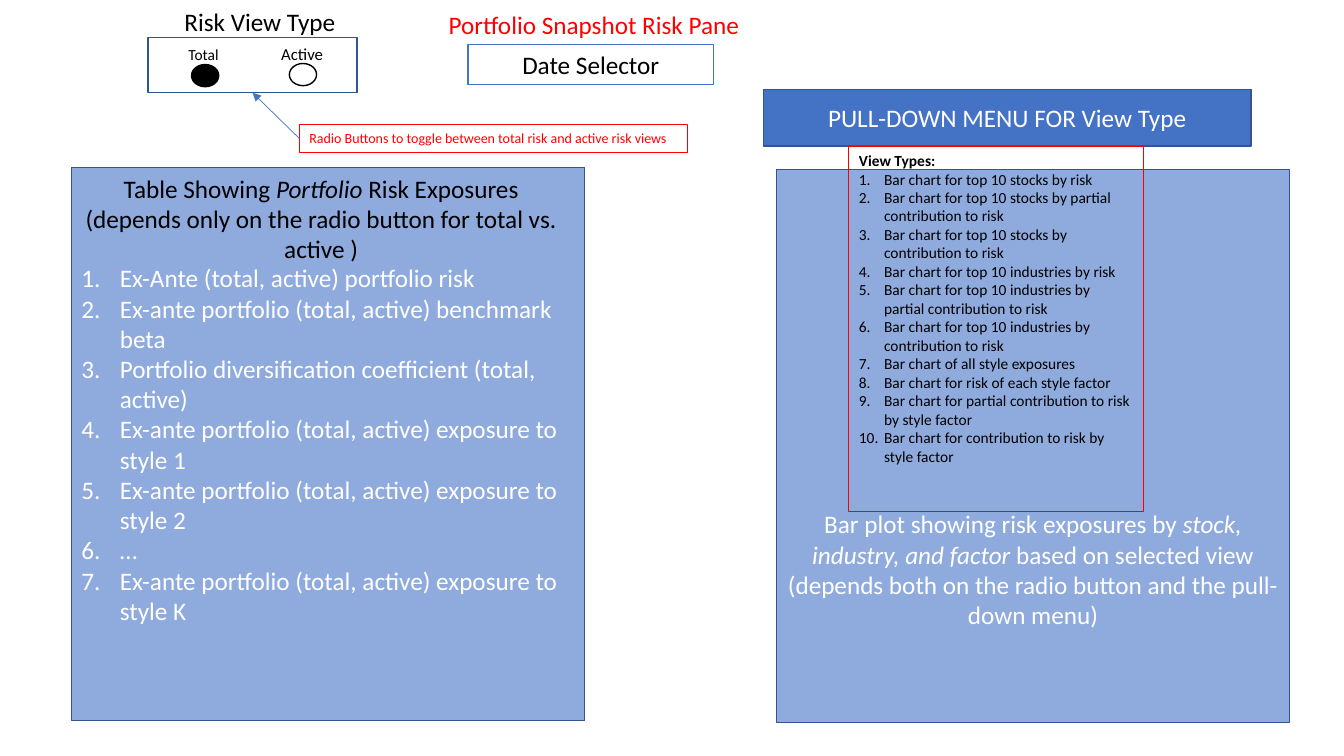
from dataclasses import dataclass

from lxml import etree
from pptx import Presentation
from pptx.dml.color import RGBColor
from pptx.enum.shapes import MSO_CONNECTOR, MSO_SHAPE
from pptx.enum.text import MSO_ANCHOR, MSO_AUTO_SIZE, PP_ALIGN
from pptx.oxml.ns import qn
from pptx.util import Emu, Pt

PX = 9144
RECT, OVAL = MSO_SHAPE.RECTANGLE, MSO_SHAPE.OVAL
STRAIGHT = MSO_CONNECTOR.STRAIGHT
LEFT, CENTER = PP_ALIGN.LEFT, PP_ALIGN.CENTER
TOP, MIDDLE = MSO_ANCHOR.TOP, MSO_ANCHOR.MIDDLE
FIT_SHAPE = MSO_AUTO_SIZE.SHAPE_TO_FIT_TEXT
LEFT_SIDE, BOTTOM_SIDE = 1, 2


@dataclass(frozen=True)
class Theme:
    """Colours, type sizes and font of the slide."""
    font: str = "Calibri"
    black: str = "000000"
    white: str = "FFFFFF"
    red: str = "FF0000"
    blue: str = "4472C4"
    panel: str = "8FAADC"
    edge: str = "325491"
    body: int = 18
    label: int = 12
    small: int = 11
    note: int = 10


THEME = Theme()

EXPOSURES = [
    "Ex-Ante (total, active) portfolio risk",
    "Ex-ante portfolio (total, active) benchmark beta",
    "Portfolio diversification coefficient (total, active)",
    "Ex-ante portfolio (total, active) exposure to style 1",
    "Ex-ante portfolio (total, active) exposure to style 2",
    "…",
    "Ex-ante portfolio (total, active) exposure to style K",
]
VIEW_TYPES = [
    "Bar chart for top 10 stocks by risk",
    "Bar chart for top 10 stocks by partial contribution to risk",
    "Bar chart for top 10 stocks by contribution to risk",
    "Bar chart for top 10 industries by risk",
    "Bar chart for top 10 industries by partial contribution to risk",
    "Bar chart for top 10 industries by contribution to risk",
    "Bar chart of all style exposures",
    "Bar chart for risk of each style factor",
    "Bar chart for partial contribution to risk by style factor",
    "Bar chart for contribution to risk by style factor",
]


def px(*lengths):
    """Turn px lengths into EMU."""
    return [Emu(length * PX) for length in lengths]


def add_box(shapes, at, fill, line, weight=1, kind=RECT):
    """Add a preset shape; a fill of None leaves it see-through."""
    box = shapes.add_shape(kind, *px(*at))
    box.shadow.inherit = False
    if fill:
        box.fill.solid()
        box.fill.fore_color.rgb = RGBColor.from_string(fill)
    else:
        box.fill.background()
    box.line.color.rgb = RGBColor.from_string(line)
    box.line.width = Pt(weight)
    return box


def style(paragraph, size, color, align=LEFT, bold=False):
    """Set alignment and font of a paragraph."""
    paragraph.alignment = align
    font = paragraph.font
    font.name, font.size, font.bold = THEME.font, Pt(size), bold
    font.color.rgb = RGBColor.from_string(color)


def number(paragraph, indent):
    """Number a paragraph with a hanging indent in px."""
    properties = paragraph._p.get_or_add_pPr()
    properties.set("marL", str(indent * PX))
    properties.set("indent", str(-indent * PX))
    properties.insert(0, etree.Element(qn("a:buAutoNum"), type="arabicPeriod"))


def write(shape, parts, size, color, align=LEFT, anchor=TOP, grow=True, wrap=True):
    """Write one paragraph whose every second part is italic."""
    frame = shape.text_frame
    frame.word_wrap, frame.vertical_anchor = wrap, anchor
    if grow:
        frame.auto_size = FIT_SHAPE
    paragraph = frame.paragraphs[0]
    for index, part in enumerate(parts):
        run = paragraph.add_run()
        run.text = part
        if index % 2:
            run.font.italic = True
    style(paragraph, size, color, align)


def write_list(shape, items, size, color, indent, heading=None, anchor=TOP):
    """Write a numbered list under an optional bold heading."""
    frame = shape.text_frame
    frame.word_wrap, frame.vertical_anchor = True, anchor
    lines = [heading, *items] if heading else items
    for index, line in enumerate(lines):
        paragraph = frame.add_paragraph() if index else frame.paragraphs[0]
        paragraph.text = line
        is_heading = line == heading
        style(paragraph, size, color, bold=is_heading)
        if not is_heading:
            number(paragraph, indent)


def add_label(shapes, at, text, size, color):
    """Add a one-line text box."""
    write(shapes.add_textbox(*px(*at)), [text], size, color, wrap=False)


def add_arrow(shapes, source, target):
    """Join the left side of source to the bottom of target."""
    arrow = shapes.add_connector(STRAIGHT, 0, 0, 0, 0)
    arrow.begin_connect(source, LEFT_SIDE)
    arrow.end_connect(target, BOTTOM_SIDE)
    arrow.line.color.rgb = RGBColor.from_string(THEME.blue)
    arrow.line.width = Pt(0.5)
    etree.SubElement(arrow.line._get_or_add_ln(), qn("a:tailEnd"), type="triangle")
    etree.SubElement(arrow._element.spPr, qn("a:effectLst"))


def add_view_pane(shapes):
    """Add the pull-down menu, its options and the bar plot panel."""
    t = THEME
    menu = add_box(shapes, (757, 89, 484, 56), t.blue, t.edge)
    write(menu, ["PULL-DOWN MENU FOR View Type"], t.body, t.white, CENTER, MIDDLE, grow=False)
    plot = add_box(shapes, (770, 168, 509, 549), t.panel, t.edge)
    write(plot, ["Bar plot showing risk exposures by ", "stock, industry, and factor",
                 " based on selected view (depends both on the radio button and the "
                 "pull-down menu)"], t.body, t.white, CENTER, MIDDLE, grow=False)
    plot.text_frame.margin_top = Emu(249 * PX)
    options = add_box(shapes, (842, 145, 292, 362), None, t.red, 0.75)
    write_list(options, VIEW_TYPES, t.small, t.black, 25, heading="View Types:")


def add_exposure_table(shapes):
    """Add the panel that lists portfolio risk exposures."""
    t = THEME
    panel = add_box(shapes, (71, 166, 509, 549), t.panel, t.edge)
    write_list(panel, EXPOSURES, t.body, t.white, 38, anchor=MIDDLE)
    title = shapes.add_textbox(*px(71, 167, 495, 101))
    write(title, ["Table Showing ", "Portfolio", " Risk Exposures (depends only on the "
                  "radio button for total vs. active )"], t.body, t.black, CENTER)


def add_risk_toggle(shapes):
    """Add the radio buttons with their labels and callout."""
    t = THEME
    callout = add_box(shapes, (297, 124, 385, 27), None, t.red, 0.75)
    write(callout, ["Radio Buttons to toggle between total risk and active risk views"],
          t.note, t.red)
    toggle = shapes.add_group_shape().shapes
    frame = add_box(toggle, (147, 37, 207, 55), t.white, t.edge)
    add_box(toggle, (190, 64, 27, 22), t.black, t.black, kind=OVAL)
    add_box(toggle, (287, 63, 27, 22), t.white, t.black, kind=OVAL)
    add_label(shapes, (177, 40, 52, 29), "Total", t.small, t.black)
    add_label(shapes, (269, 38, 62, 30), "Active", t.label, t.black)
    add_label(shapes, (173, 1, 172, 40), "Risk View Type", t.body, t.black)
    add_arrow(shapes, callout, frame)


def main():
    """Build the slide and save it."""
    deck = Presentation()
    deck.slide_width, deck.slide_height = px(1333, 750)
    shapes = deck.slides.add_slide(deck.slide_layouts[6]).shapes
    add_view_pane(shapes)
    add_label(shapes, (435, 4, 312, 40), "Portfolio Snapshot Risk Pane", THEME.body, THEME.red)
    add_exposure_table(shapes)
    add_risk_toggle(shapes)
    selector = add_box(shapes, (464, 44, 244, 40), None, THEME.blue)
    write(selector, ["Date Selector"], THEME.body, THEME.black, CENTER)
    deck.save("out.pptx")


if __name__ == "__main__":
    main()
